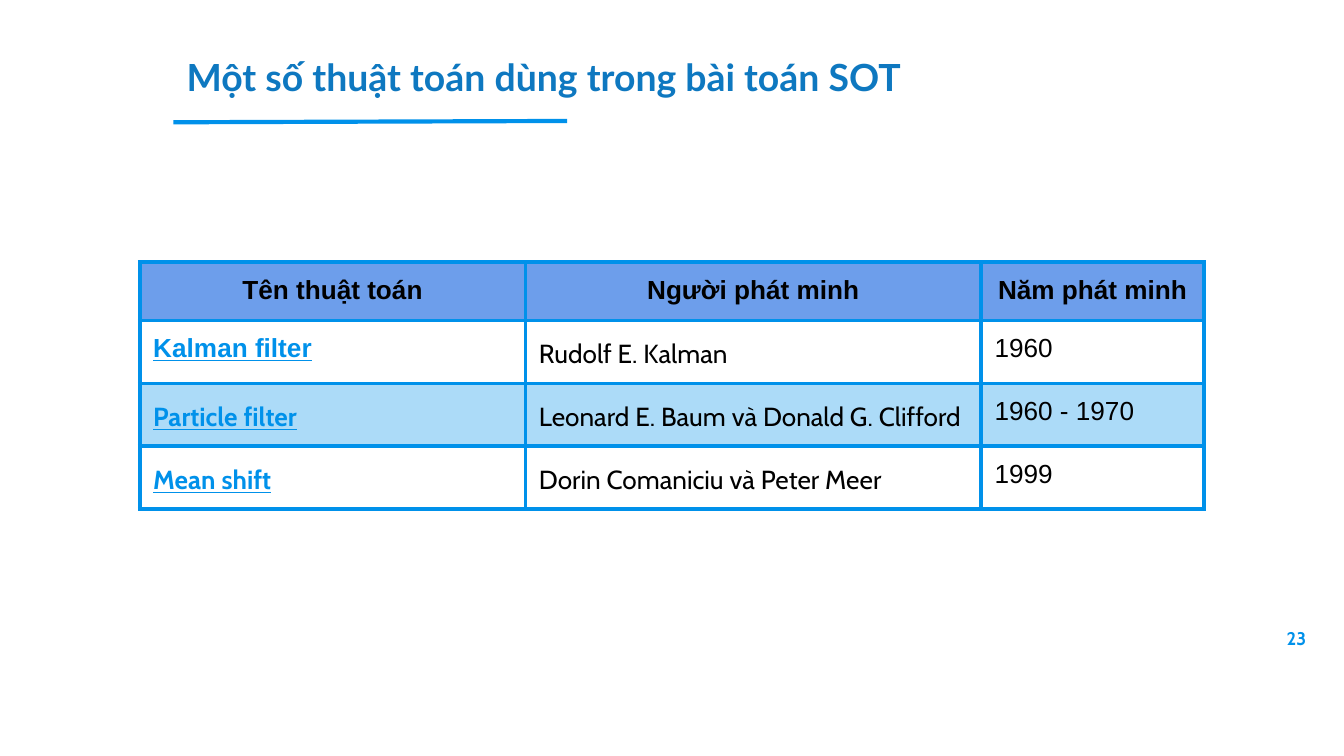
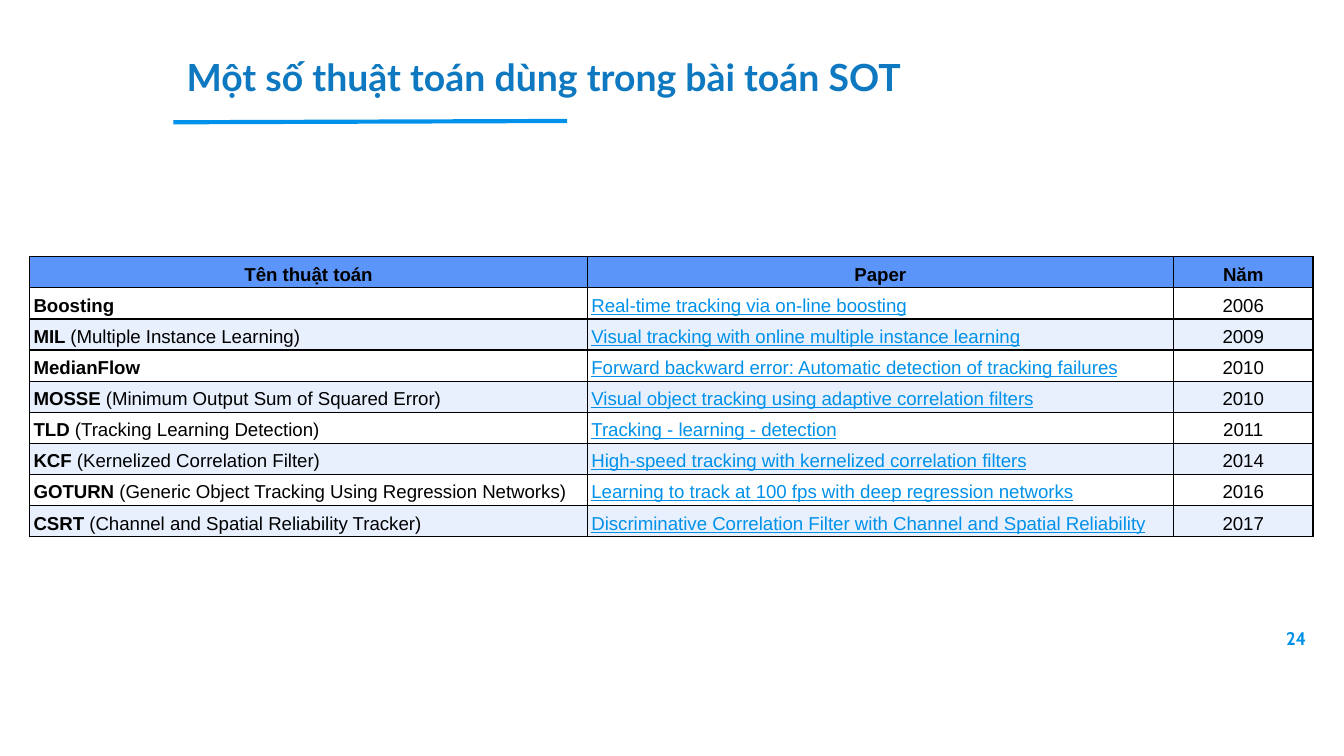
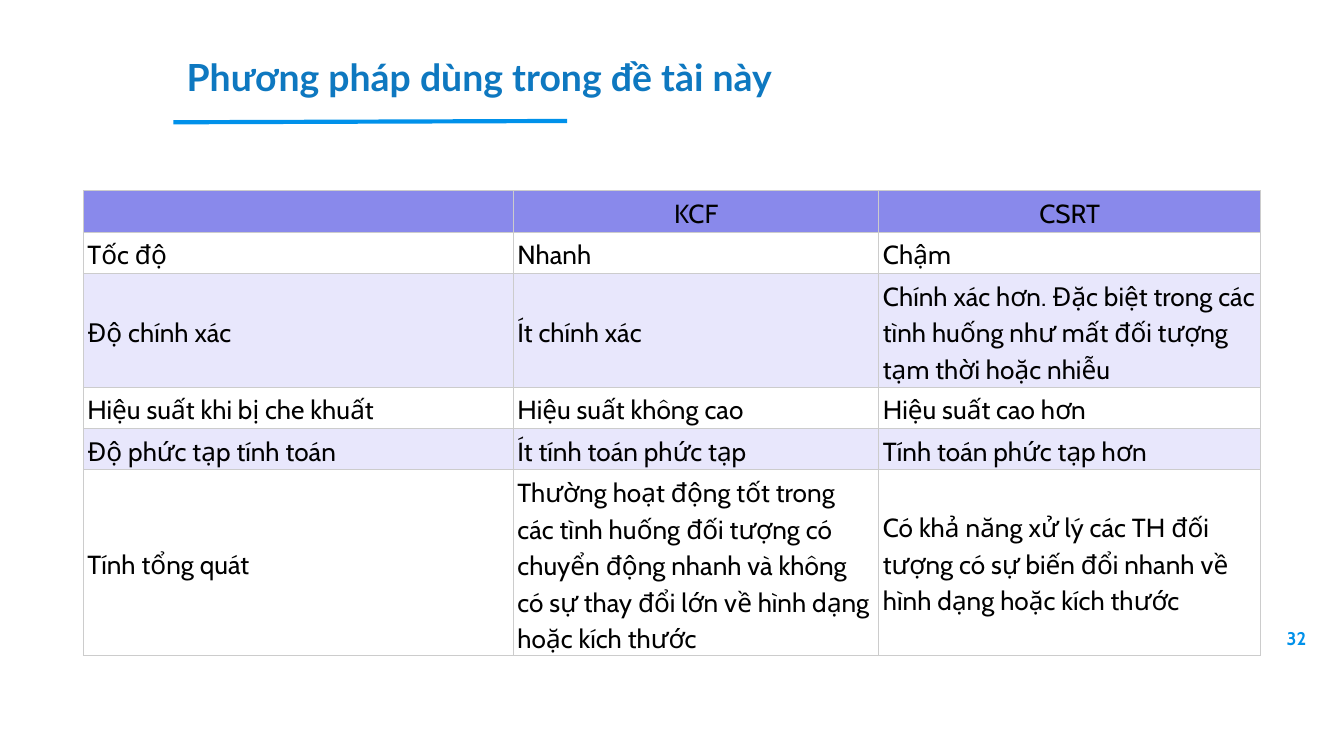
from dataclasses import dataclass, replace
from typing import Optional

from lxml.etree import SubElement
from pptx import Presentation
from pptx.dml.color import RGBColor
from pptx.enum.shapes import MSO_CONNECTOR
from pptx.enum.text import MSO_ANCHOR as Anchor, MSO_AUTO_SIZE, PP_ALIGN as Align
from pptx.oxml.ns import qn
from pptx.util import Inches, Pt

BLUE = "0091EA"
TITLE_BLUE = "0E78C0"
BLACK = "000000"
WHITE = "FFFFFF"


@dataclass(frozen=True)
class TextStyle:
    font: str
    size: float
    color: str = BLACK
    bold: bool = False
    underline: bool = False
    align: Align = Align.LEFT
    line_spacing: Optional[float] = None


@dataclass(frozen=True)
class Span:
    text: str
    style: TextStyle


@dataclass(frozen=True)
class TableLayout:
    left: float
    top: float
    columns: tuple[float, ...]
    row_height: float
    border_color: str
    border_width: float
    header_fill: str
    plain_fill: Optional[str]
    band_fill: str
    anchor: Anchor
    margin_x: float
    margin_y: float


Cell = tuple[Span, ...]
Row = list[Cell]

TITLE_STYLE = TextStyle("Lato", 20, TITLE_BLUE, bold=True)
NUMBER_STYLE = TextStyle("Cabin", 9.8, BLUE, bold=True, align=Align.RIGHT)

INVENTORS_LAYOUT = TableLayout(
    1.04, 1.95, (2.87, 3.39, 1.66), 0.42, BLUE, 2.25,
    "6D9EEB", None, "ACDBF8", Anchor.TOP, 0.1, 0.1,
)
PAPERS_LAYOUT = TableLayout(
    0.22, 1.91, (4.15, 4.36, 1.04), 0.22, BLACK, 0.75,
    "5B95F9", WHITE, "E8F0FE", Anchor.BOTTOM, 0.03, 0.02,
)
COMPARISON_LAYOUT = TableLayout(
    0.62, 1.42, (3.2, 2.72, 2.84), 0.22, "CCCCCC", 0.6,
    "8989EB", WHITE, "E8E7FC", Anchor.MIDDLE, 0.03, 0.02,
)

SOT_TITLE = "Một số thuật toán dùng trong bài toán SOT"

INVENTORS = [
    ("Kalman filter", "Rudolf E. Kalman", "1960"),
    ("Particle filter", "Leonard E. Baum và Donald G. Clifford", "1960 - 1970"),
    ("Mean shift", "Dorin Comaniciu và Peter Meer", "1999"),
]
PAPERS = [
    ("Boosting", "", "Real-time tracking via on-line boosting", "2006"),
    ("MIL", "Multiple Instance Learning",
     "Visual tracking with online multiple instance learning", "2009"),
    ("MedianFlow", "",
     "Forward backward error: Automatic detection of tracking failures", "2010"),
    ("MOSSE", "Minimum Output Sum of Squared Error",
     "Visual object tracking using adaptive correlation filters", "2010"),
    ("TLD", "Tracking Learning Detection", "Tracking - learning - detection", "2011"),
    ("KCF", "Kernelized Correlation Filter",
     "High-speed tracking with kernelized correlation filters", "2014"),
    ("GOTURN", "Generic Object Tracking Using Regression Networks",
     "Learning to track at 100 fps with deep regression networks", "2016"),
    ("CSRT", "Channel and Spatial Reliability Tracker",
     "Discriminative Correlation Filter with Channel and Spatial Reliability", "2017"),
]
COMPARISON = [
    ("Tốc độ", "Nhanh", "Chậm"),
    ("Độ chính xác", "Ít chính xác",
     "Chính xác hơn. Đặc biệt trong các tình huống như mất đối tượng tạm thời hoặc nhiễu"),
    ("Hiệu suất khi bị che khuất", "Hiệu suất không cao", "Hiệu suất cao hơn"),
    ("Độ phức tạp tính toán", "Ít tính toán phức tạp", "Tính toán phức tạp hơn"),
    ("Tính tổng quát",
     "Thường hoạt động tốt trong các tình huống đối tượng có chuyển động nhanh "
     "và không có sự thay đổi lớn về hình dạng hoặc kích thước",
     "Có khả năng xử lý các TH đối tượng có sự biến đổi nhanh về hình dạng hoặc kích thước"),
]


def rgb(color: str) -> RGBColor:
    return RGBColor.from_string(color)


def write_spans(paragraph, spans: Cell) -> None:
    paragraph.alignment = spans[0].style.align
    if spans[0].style.line_spacing:
        paragraph.line_spacing = spans[0].style.line_spacing
    for span in spans:
        style = span.style
        if not span.text:
            SubElement(paragraph._p, qn("a:endParaRPr"), sz=str(int(style.size * 100)))
            continue
        run = paragraph.add_run()
        run.text = span.text
        run.font.name = style.font
        run.font.size = Pt(style.size)
        run.font.bold = style.bold
        run.font.underline = style.underline
        run.font.color.rgb = rgb(style.color)


def set_margins(target, horizontal: float, vertical: float) -> None:
    target.margin_left = target.margin_right = Inches(horizontal)
    target.margin_top = target.margin_bottom = Inches(vertical)


def add_text(slide, box: tuple[float, ...], margin: float, span: Span):
    shape = slide.shapes.add_textbox(*map(Inches, box))
    text_frame = shape.text_frame
    text_frame.word_wrap = True
    set_margins(text_frame, margin, margin)
    write_spans(text_frame.paragraphs[0], (span,))
    return shape


def add_underline(slide) -> None:
    connector = slide.shapes.add_connector(
        MSO_CONNECTOR.STRAIGHT, Inches(1.29), Inches(0.91), Inches(4.22), Inches(0.9)
    )
    connector.line.color.rgb = rgb(BLUE)
    connector.line.width = Pt(2.25)
    SubElement(connector._element.spPr, qn("a:effectLst"))


def add_page(presentation, title: str, number: int):
    slide = presentation.slides.add_slide(presentation.slide_layouts[6])
    add_text(slide, (9.19, 4.6, 0.6, 0.32), 0.07, Span(str(number), NUMBER_STYLE))
    add_underline(slide)
    title_box = add_text(slide, (1.29, 0.3, 6.64, 0.54), 0.1, Span(title, TITLE_STYLE))
    title_box.text_frame.auto_size = MSO_AUTO_SIZE.SHAPE_TO_FIT_TEXT
    return slide


def set_borders(cell, color: str, width: float) -> None:
    properties = cell._tc.get_or_add_tcPr()
    for side in ("lnL", "lnR", "lnT", "lnB"):
        line = SubElement(properties, qn(f"a:{side}"), w=str(int(Pt(width))))
        fill = SubElement(line, qn("a:solidFill"))
        SubElement(fill, qn("a:srgbClr"), val=color)


def row_fill(layout: TableLayout, index: int) -> Optional[str]:
    if index == 0:
        return layout.header_fill
    return layout.plain_fill if index % 2 else layout.band_fill


def add_styled_table(slide, layout: TableLayout, rows: list[Row]) -> None:
    table = slide.shapes.add_table(
        len(rows), len(layout.columns), Inches(layout.left), Inches(layout.top),
        Inches(sum(layout.columns)), Inches(layout.row_height * len(rows)),
    ).table
    table.first_row = False
    table.horz_banding = False
    for column, width in zip(table.columns, layout.columns):
        column.width = Inches(width)
    for row_index, row in enumerate(rows):
        table.rows[row_index].height = Inches(layout.row_height)
        color = row_fill(layout, row_index)
        for column_index, spans in enumerate(row):
            cell = table.cell(row_index, column_index)
            set_borders(cell, layout.border_color, layout.border_width)
            set_margins(cell, layout.margin_x, layout.margin_y)
            cell.vertical_anchor = layout.anchor
            if color:
                cell.fill.solid()
                cell.fill.fore_color.rgb = rgb(color)
            else:
                cell.fill.background()
            write_spans(cell.text_frame.paragraphs[0], spans)


def styled_row(texts: tuple[str, ...], *styles: TextStyle) -> Row:
    return [(Span(text, style),) for text, style in zip(texts, styles)]


def inventor_rows() -> list[Row]:
    year = TextStyle("Arial", 14)
    header = replace(year, bold=True, align=Align.CENTER)
    person = TextStyle("Cabin", 14, line_spacing=1.15)
    link = replace(person, color=BLUE, bold=True, underline=True)
    first_link = replace(link, font="Arial", line_spacing=None)
    rows = [styled_row(("Tên thuật toán", "Người phát minh", "Năm phát minh"), *[header] * 3)]
    for index, texts in enumerate(INVENTORS):
        rows.append(styled_row(texts, link if index else first_link, person, year))
    return rows


def paper_rows() -> list[Row]:
    body = TextStyle("Arial", 10, line_spacing=1.15)
    name = replace(body, bold=True)
    header = replace(name, align=Align.CENTER)
    link = replace(body, color=BLUE, underline=True)
    year = replace(body, align=Align.CENTER)
    rows = [styled_row(("Tên thuật toán", "Paper", "Năm"), *[header] * 3)]
    for short_name, long_name, paper, published in PAPERS:
        algorithm = (Span(short_name, name),)
        if long_name:
            algorithm = (Span(f"{short_name} ", name), Span(f"({long_name})", body))
        rows.append([algorithm, *styled_row((paper, published), link, year)])
    return rows


def comparison_rows() -> list[Row]:
    body = TextStyle("Cabin", 14, line_spacing=1.15)
    header = replace(body, align=Align.CENTER)
    rows = [styled_row(("", "KCF", "CSRT"), *[header] * 3)]
    return rows + [styled_row(texts, *[body] * 3) for texts in COMPARISON]


def main() -> None:
    presentation = Presentation()
    presentation.slide_width = Inches(10)
    presentation.slide_height = Inches(10 * 9 / 16)
    pages = [
        (SOT_TITLE, 23, INVENTORS_LAYOUT, inventor_rows()),
        (SOT_TITLE, 24, PAPERS_LAYOUT, paper_rows()),
        ("Phương pháp dùng trong đề tài này", 32, COMPARISON_LAYOUT, comparison_rows()),
    ]
    for title, number, layout, rows in pages:
        add_styled_table(add_page(presentation, title, number), layout, rows)
    presentation.save("out.pptx")


if __name__ == "__main__":
    main()
